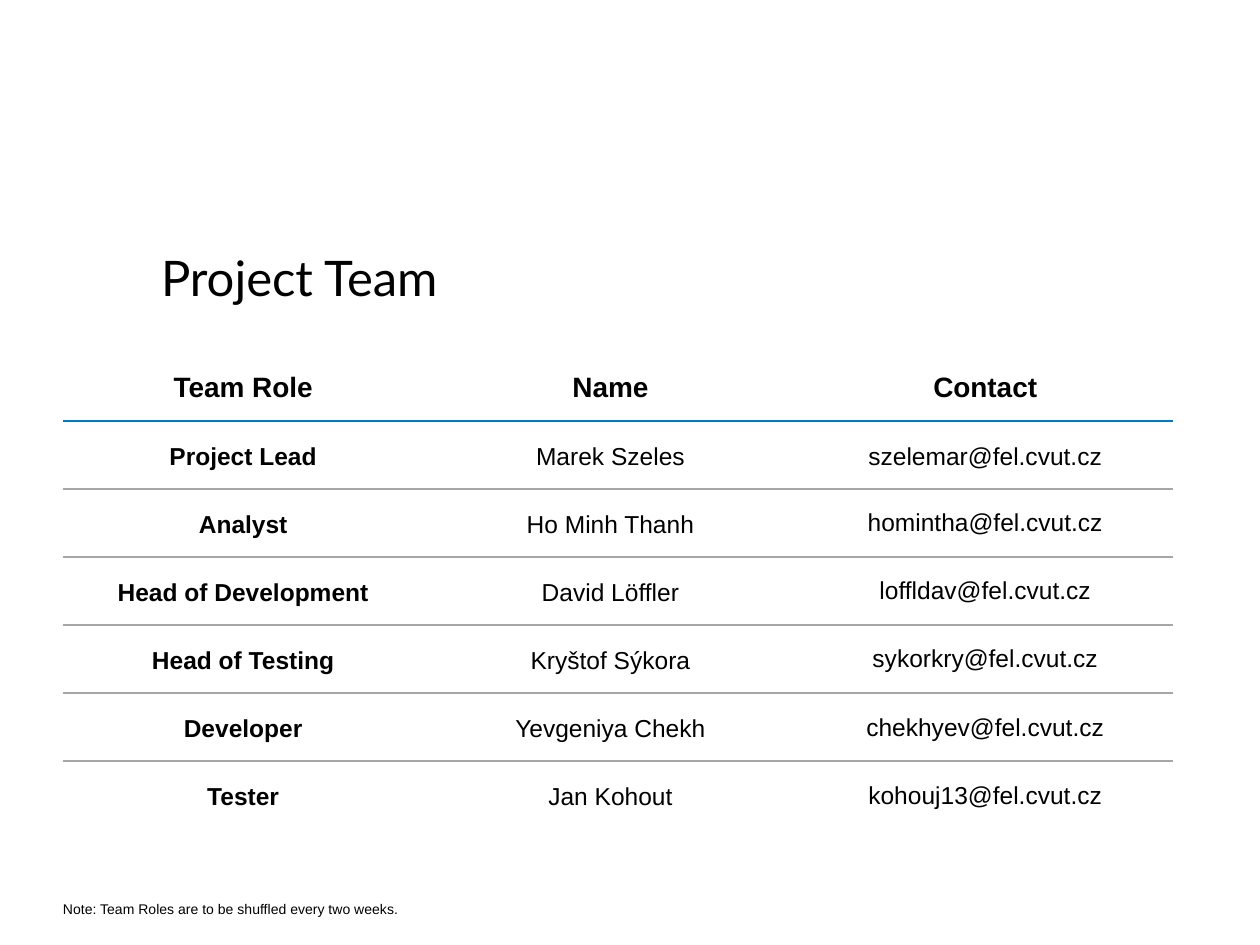
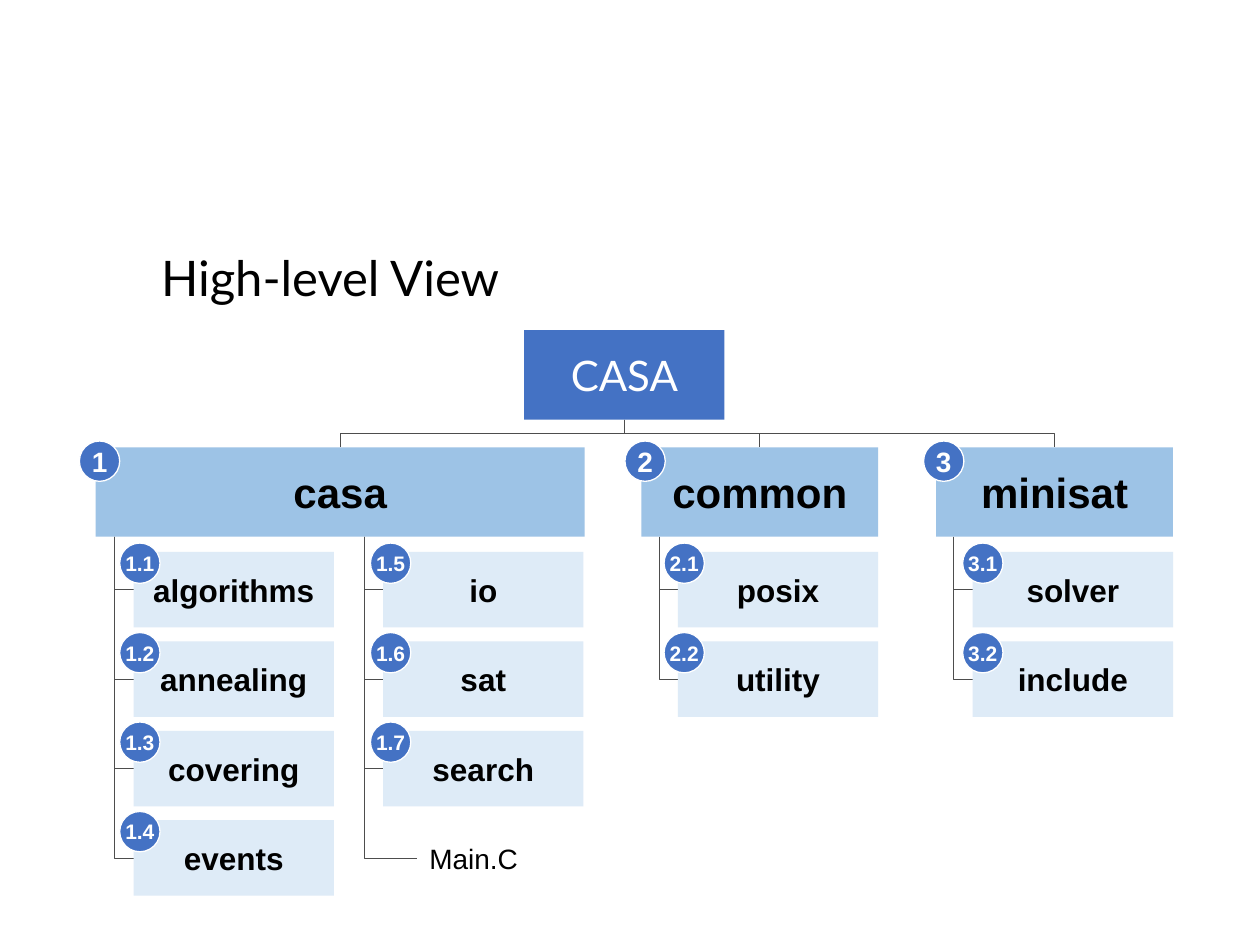
from dataclasses import dataclass

from lxml import etree
from pptx import Presentation
from pptx.dml.color import RGBColor
from pptx.enum.shapes import MSO_CONNECTOR as Connector, MSO_SHAPE as Preset
from pptx.enum.text import MSO_ANCHOR as Anchor, PP_ALIGN as Align
from pptx.oxml.ns import qn
from pptx.util import Inches, Pt

BLACK, WHITE = "000000", "FFFFFF"
BLUE, MID_BLUE, PALE_BLUE = "4472C4", "9DC3E6", "DEEBF7"
HEADER_RULE, ROW_RULE, LINK_GREY = "007AC2", "A6A6A6", "4D4D4D"
PLAIN_TABLE_STYLE = "{2D5ABB26-0587-4C30-8999-92F81FD0307C}"


@dataclass(frozen=True)
class TextStyle:
    size: float
    name: str = "Arial"
    color: str = BLACK
    bold: bool = False
    align: Align = Align.CENTER
    spacing: float = 1.0


TITLE = TextStyle(28, "Lato", align=Align.LEFT, spacing=0.9)
NOTE = TextStyle(8, align=Align.LEFT, spacing=0.9)
TABLE_HEADER = TextStyle(16, bold=True, spacing=1.15)
TABLE_ROLE = TextStyle(14, bold=True, spacing=1.15)
TABLE_BODY = TextStyle(14, spacing=1.15)
TABLE_CONTACT = TextStyle(14)
ROOT = TextStyle(24, "Lato", WHITE)
MODULE = TextStyle(24, bold=True)
LEAF = TextStyle(18, bold=True)
FILE = TextStyle(16, align=Align.LEFT)
MODULE_BADGE = TextStyle(16, color=WHITE, bold=True)
LEAF_BADGE = TextStyle(12, color=WHITE, bold=True)


@dataclass(frozen=True)
class Box:
    left: float
    top: float
    width: float
    height: float

    @property
    def center(self) -> float:
        return self.left + self.width / 2

    @property
    def middle(self) -> float:
        return self.top + self.height / 2

    @property
    def bottom(self) -> float:
        return self.top + self.height

    def lengths(self) -> list:
        return [Inches(v) for v in (self.left, self.top, self.width, self.height)]


@dataclass(frozen=True)
class Branch:
    """A column of leaves hanging from a module."""
    left: float
    badge_left: float
    leaves: tuple
    file: str = ""


@dataclass(frozen=True)
class Module:
    name: str
    left: float
    width: float
    badge_left: float
    branches: tuple


TEAM = (
    ("Team Role", "Name", "Contact"),
    ("Project Lead", "Marek Szeles", "szelemar@fel.cvut.cz"),
    ("Analyst", "Ho Minh Thanh", "homintha@fel.cvut.cz"),
    ("Head of Development", "David Löffler", "loffldav@fel.cvut.cz"),
    ("Head of Testing", "Kryštof Sýkora", "sykorkry@fel.cvut.cz"),
    ("Developer", "Yevgeniya Chekh", "chekhyev@fel.cvut.cz"),
    ("Tester", "Jan Kohout", "kohouj13@fel.cvut.cz"),
)
COLUMN_WIDTHS = (2.86, 2.97, 2.98)
HEADER_HEIGHT, ROW_HEIGHT = 0.56, 0.54

MODULES = (
    Module("casa", 0.76, 3.88, 0.63, (
        Branch(1.06, 0.95, ("algorithms", "annealing", "covering", "events")),
        Branch(3.04, 2.94, ("io", "sat", "search"), "Main.C"),
    )),
    Module("common", 5.09, 1.88, 4.96, (Branch(5.38, 5.27, ("posix", "utility")),)),
    Module("minisat", 7.43, 1.88, 7.33, (Branch(7.72, 7.64, ("solver", "include")),)),
)
ROOT_BOX = Box(4.16, 2.62, 1.59, 0.71)
MODULE_TOP, MODULE_HEIGHT = 3.55, 0.71
LEAF_TOP, LEAF_PITCH, LEAF_WIDTH, LEAF_HEIGHT = 4.38, 0.71, 1.59, 0.6
TRUNK_GAP, FILE_INDENT = 0.15, 0.27
BADGE_SIZE, MODULE_BADGE_RISE, LEAF_BADGE_RISE = 0.32, 0.05, 0.07


def rgb(color: str) -> RGBColor:
    return RGBColor.from_string(color)


def write(frame, text: str, style: TextStyle) -> None:
    paragraph = frame.paragraphs[0]
    paragraph.alignment = style.align
    paragraph.line_spacing = style.spacing
    run = paragraph.add_run()
    run.text = text
    for key, value in {"size": Pt(style.size), "name": style.name, "bold": style.bold}.items():
        setattr(run.font, key, value)
    run.font.color.rgb = rgb(style.color)


def set_margins(target, left: float, top: float, right: float, bottom: float) -> None:
    margins = {"left": left, "top": top, "right": right, "bottom": bottom}
    for side, value in margins.items():
        setattr(target, f"margin_{side}", Inches(value))


def add_text(slide, box: Box, text: str, style: TextStyle, anchor: Anchor):
    frame = slide.shapes.add_textbox(*box.lengths()).text_frame
    frame.word_wrap = True
    frame.vertical_anchor = anchor
    write(frame, text, style)
    return frame


def add_block(slide, box: Box, text: str, style: TextStyle, fill: str,
              preset: Preset = Preset.RECTANGLE):
    shape = slide.shapes.add_shape(preset, *box.lengths())
    shape.shadow.inherit = False
    shape.fill.solid()
    shape.fill.fore_color.rgb = rgb(fill)
    shape.line.fill.background()
    shape.text_frame.vertical_anchor = Anchor.MIDDLE
    write(shape.text_frame, text, style)
    return shape


def add_badge(slide, left: float, top: float, text: str, style: TextStyle) -> None:
    box = Box(left, top, BADGE_SIZE, BADGE_SIZE)
    badge = add_block(slide, box, text, style, BLUE, Preset.OVAL)
    badge.line.color.rgb = rgb(WHITE)
    badge.line.width = Pt(0.75)
    badge.text_frame.word_wrap = False
    set_margins(badge.text_frame, 0, 0, 0, 0)


def add_elbow(slide, start: tuple, end: tuple, preset: str) -> None:
    """Draw a bent connector that leaves its start downwards.

    The preset leaves sideways, so its frame is swapped and turned about its centre.
    """
    run, drop = abs(end[0] - start[0]), end[1] - start[1]
    left = (start[0] + end[0] - drop) / 2
    top = (start[1] + end[1] - run) / 2
    corners = (left, top, left + drop, top + run)
    connector = slide.shapes.add_connector(Connector.ELBOW, *map(Inches, corners))
    connector.line.color.rgb = rgb(LINK_GREY)
    connector.line.width = Pt(0.5)
    properties = connector.element.spPr
    etree.SubElement(properties, qn("a:effectLst"))
    properties.find(qn("a:prstGeom")).set("prst", preset)
    frame = properties.find(qn("a:xfrm"))
    rightwards = end[0] > start[0]
    frame.set("rot", str((270 if rightwards else 90) * 60000))
    if rightwards:
        frame.set("flipH", "1")


def add_bottom_border(cell, color: str, width: float) -> None:
    border = etree.Element(qn("a:lnB"), w=str(Pt(width)))
    fill = etree.SubElement(border, qn("a:solidFill"))
    etree.SubElement(fill, qn("a:srgbClr"), val=color)
    cell.fill.background()
    cell._tc.get_or_add_tcPr().insert(0, border)


def cell_style(row: int, column: int) -> TextStyle:
    if row == 0:
        return TABLE_HEADER
    if column == 0:
        return TABLE_ROLE
    return TABLE_CONTACT if column == 2 and row > 1 else TABLE_BODY


def add_team_table(slide) -> None:
    last_row = len(TEAM) - 1
    box = Box(0.5, 2.78, sum(COLUMN_WIDTHS), HEADER_HEIGHT + last_row * ROW_HEIGHT)
    table = slide.shapes.add_table(len(TEAM), len(COLUMN_WIDTHS), *box.lengths()).table
    table.first_row = table.horz_banding = False
    table._tbl.tblPr.find(qn("a:tableStyleId")).text = PLAIN_TABLE_STYLE
    for column, width in zip(table.columns, COLUMN_WIDTHS):
        column.width = Inches(width)
    for row, texts in enumerate(TEAM):
        table.rows[row].height = Inches(ROW_HEIGHT if row else HEADER_HEIGHT)
        for column, text in enumerate(texts):
            cell = table.cell(row, column)
            style = cell_style(row, column)
            write(cell.text_frame, text, style)
            cell.vertical_anchor = Anchor.MIDDLE
            tight = style is TABLE_CONTACT
            set_margins(cell, *((0.01, 0.01, 0.01, 0) if tight else (0.07, 0.02, 0.07, 0.02)))
            if row == 0:
                add_bottom_border(cell, HEADER_RULE, 1.5)
            elif row < last_row:
                add_bottom_border(cell, ROW_RULE, 1)
            else:
                cell.fill.background()


def add_branch(slide, branch: Branch, module_number: int, first_leaf: int) -> None:
    trunk = (branch.left - TRUNK_GAP, MODULE_TOP + MODULE_HEIGHT)
    for row, leaf in enumerate(branch.leaves):
        box = Box(branch.left, LEAF_TOP + row * LEAF_PITCH, LEAF_WIDTH, LEAF_HEIGHT)
        add_elbow(slide, trunk, (box.left, box.middle), "bentConnector2")
        add_block(slide, box, leaf, LEAF, PALE_BLUE)
        add_badge(slide, branch.badge_left, box.top - LEAF_BADGE_RISE,
                  f"{module_number}.{first_leaf + row}", LEAF_BADGE)
    if branch.file:
        top = LEAF_TOP + len(branch.leaves) * LEAF_PITCH
        box = Box(branch.left + FILE_INDENT, top, LEAF_WIDTH - FILE_INDENT, LEAF_HEIGHT)
        add_elbow(slide, trunk, (box.left, box.middle), "bentConnector2")
        add_text(slide, box, branch.file, FILE, Anchor.MIDDLE)


def add_module(slide, module: Module, number: int) -> None:
    box = Box(module.left, MODULE_TOP, module.width, MODULE_HEIGHT)
    add_elbow(slide, (ROOT_BOX.center, ROOT_BOX.bottom), (box.center, box.top), "bentConnector3")
    add_block(slide, box, module.name, MODULE, MID_BLUE)
    add_badge(slide, module.badge_left, MODULE_TOP - MODULE_BADGE_RISE, str(number), MODULE_BADGE)
    first_leaf = 1
    for branch in module.branches:
        add_branch(slide, branch, number, first_leaf)
        first_leaf += len(branch.leaves)


def add_titled_slide(presentation, title: str):
    slide = presentation.slides.add_slide(presentation.slide_layouts[6])
    add_text(slide, Box(1.18, 1.97, 8.52, 1.19), title, TITLE, Anchor.TOP)
    return slide


def build_team_slide(presentation) -> None:
    slide = add_titled_slide(presentation, "Project Team")
    note = add_text(slide, Box(0.5, 6.92, 9, 0.36),
                    "Note: Team Roles are to be shuffled every two weeks.", NOTE, Anchor.BOTTOM)
    set_margins(note, 0, 0, 0, 0)
    add_team_table(slide)


def build_structure_slide(presentation) -> None:
    slide = add_titled_slide(presentation, "High-level View")
    add_block(slide, ROOT_BOX, "CASA", ROOT, BLUE)
    for number, module in enumerate(MODULES, start=1):
        add_module(slide, module, number)


def main() -> None:
    presentation = Presentation()
    presentation.slide_width = Inches(10)
    presentation.slide_height = Inches(7.5)
    build_team_slide(presentation)
    build_structure_slide(presentation)
    presentation.save("out.pptx")


if __name__ == "__main__":
    main()
